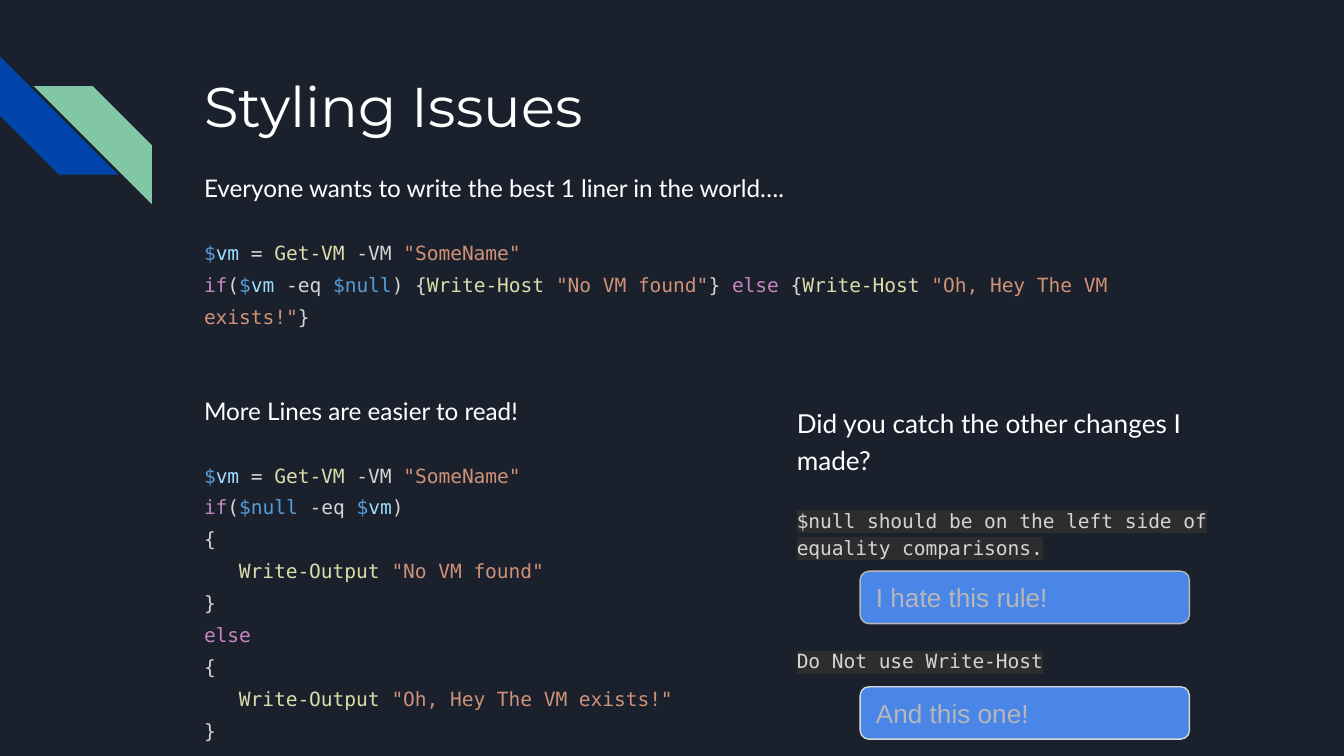
from lxml.etree import SubElement
from pptx import Presentation
from pptx.dml.color import RGBColor
from pptx.enum.shapes import MSO_SHAPE
from pptx.enum.text import MSO_ANCHOR, PP_ALIGN
from pptx.oxml.ns import qn
from pptx.util import Inches, Pt

COLORS = {
    "background": "1B212C",
    "stripe blue": "0145AC",
    "stripe green": "82C7A5",
    "button": "4A86E8",
    "button text": "B7B7B7",
    "light line": "D9D9D9",
    "white": "FFFFFF",
    "highlight": "2D2D30",
    "plain": "D4D4D4",
    "constant": "569CD6",
    "variable": "9CDCFE",
    "command": "DCDCAA",
    "string": "CE9178",
    "keyword": "C586C0",
}
CODE = {"font": "DejaVu Sans Mono", "size": 10.5}

VM = [("$", "constant"), ("vm", "variable")]
NULL = [("$null", "constant")]
GET_VM = VM + [(" = ", "plain"), ("Get-VM", "command"), (" -VM ", "plain"),
               ('"SomeName"', "string")]


def color(name):
    return RGBColor.from_string(COLORS[name])


def condition(left, right, ending):
    return ([("if", "keyword"), ("(", "plain")] + left + [(" -eq ", "plain")]
            + right + [(ending, "plain")])


def write(command, message):
    return [(command + " ", "command"), (f'"{message}"', "string")]


ONE_LINER = (
    condition(VM, NULL, ") {") + write("Write-Host", "No VM found")
    + [("} ", "plain"), ("else ", "keyword"), ("{", "plain")]
    + write("Write-Host", "Oh, Hey The VM exists!") + [("}", "plain")]
)


def block(message):
    """Braces around one indented output line, as (spans, indent) pairs."""
    return [([("{", "plain")], 0), (write("Write-Output", message), 0.26),
            ([("}", "plain")], 0)]


def add_text(frame, spans, font="Lato", size=13, line=None, before=0, after=0,
             indent=0, highlight=None):
    """Add a paragraph made of (text, colour name) spans."""
    first = frame.paragraphs[0]
    para = frame.add_paragraph() if first.runs else first
    para.alignment = PP_ALIGN.LEFT
    para.space_before, para.space_after = Pt(before), Pt(after)
    if line:
        para.line_spacing = line
    if indent:
        properties = para._p.get_or_add_pPr()
        properties.set("marL", str(Inches(indent)))
        properties.set("indent", "0")
    for text, color_name in spans:
        span = para.add_run()
        span.text = text
        span.font.size = Pt(size)
        span.font.color.rgb = color(color_name)
        if highlight:
            mark = SubElement(span._r.get_or_add_rPr(), qn("a:highlight"))
            SubElement(mark, qn("a:srgbClr")).set("val", COLORS[highlight])
        span.font.name = font


def set_up_frame(shape, anchor):
    frame = shape.text_frame
    frame.word_wrap = True
    frame.vertical_anchor = anchor
    frame.margin_left = frame.margin_right = Inches(0.1)
    frame.margin_top = frame.margin_bottom = Inches(0.1)
    return frame


def add_box(page, left, top, width, height):
    box = page.shapes.add_textbox(Inches(left), Inches(top), Inches(width), Inches(height))
    return set_up_frame(box, MSO_ANCHOR.TOP)


def add_filled(page, kind, left, top, width, height, fill):
    shape = page.shapes.add_shape(kind, Inches(left), Inches(top), Inches(width), Inches(height))
    shape.shadow.inherit = False
    shape.fill.solid()
    shape.fill.fore_color.rgb = color(fill)
    shape.line.fill.background()
    return shape


def add_stripes(page):
    blue = add_filled(page, MSO_SHAPE.DIAGONAL_STRIPE, 0, 0.42, 0.88, 0.88, "stripe blue")
    blue.rotation = 270
    green = add_filled(page, MSO_SHAPE.DIAGONAL_STRIPE, 0.25, 0.64, 0.88, 0.88, "stripe green")
    green._element.spPr.find(qn("a:xfrm")).set("flipH", "1")


def add_button(page, top, text, outline):
    button = add_filled(page, MSO_SHAPE.ROUNDED_RECTANGLE, 6.4, top, 2.45, 0.39, "button")
    button.line.color.rgb = color(outline)
    button.line.width = Pt(0.75)
    frame = set_up_frame(button, MSO_ANCHOR.MIDDLE)
    add_text(frame, [(text, "button text")], font="Arial", size=14)


def add_examples(page):
    frame = add_box(page, 1.42, 1.16, 7.7, 4.14)
    add_text(frame, [("Everyone wants to write the best 1 liner in the world….", "white")],
             line=1.15)
    add_text(frame, GET_VM, line=1.36, before=16, **CODE)
    add_text(frame, ONE_LINER, line=1.36, **CODE)
    add_text(frame, [("More Lines are easier to read!", "white")], line=1.15, before=34)
    add_text(frame, GET_VM, line=1.36, before=16, **CODE)
    code_lines = ([(condition(NULL, VM, ")"), 0)] + block("No VM found")
                  + [([("else", "keyword")], 0)] + block("Oh, Hey The VM exists!"))
    for spans, indent in code_lines:
        add_text(frame, spans, line=1.36, indent=indent, **CODE)


def add_rules(page):
    frame = add_box(page, 5.83, 2.9, 3.59, 2.09)
    add_text(frame, [("Did you catch the other changes I made?", "white")], size=14, line=1.15)
    rules = [("$null should be on the left side of equality comparisons.", 16, 0),
             ("Do Not use Write-Host", 46.5, 16)]
    for rule, before, after in rules:
        add_text(frame, [(rule, "plain")], line=1.15, before=before, after=after,
                 highlight="highlight", **CODE)
    add_button(page, 4.25, "I hate this rule!", "button text")
    add_button(page, 5.11, "And this one!", "light line")


def main():
    deck = Presentation()
    deck.slide_width, deck.slide_height = Inches(10), Inches(10 * 9 / 16)
    page = deck.slides.add_slide(deck.slide_layouts[6])
    page.background.fill.solid()
    page.background.fill.fore_color.rgb = color("background")
    add_stripes(page)
    title = add_box(page, 1.42, 0.43, 7.7, 1)
    add_text(title, [("Styling Issues", "white")], font="Montserrat", size=30)
    add_examples(page)
    add_rules(page)
    deck.save("out.pptx")


if __name__ == "__main__":
    main()
